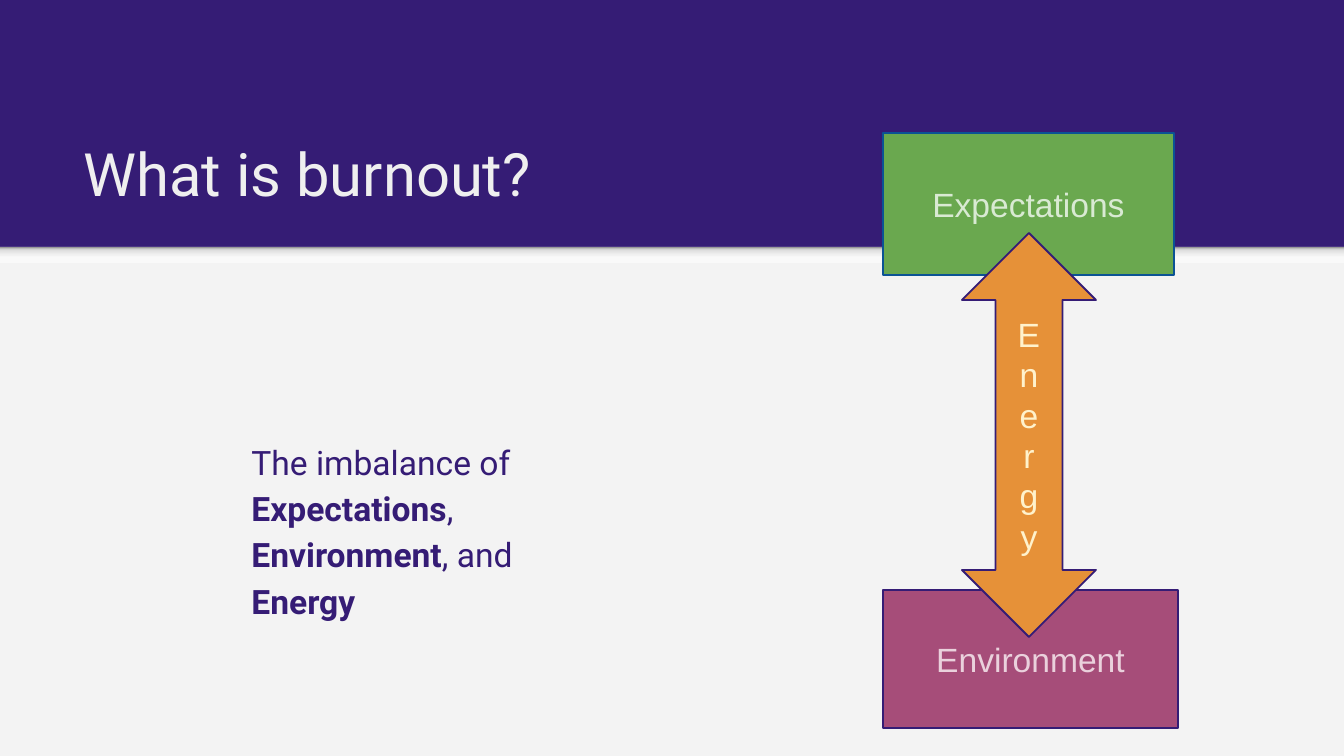
from copy import deepcopy

from pptx import Presentation
from pptx.dml.color import RGBColor
from pptx.enum.shapes import MSO_SHAPE as SHAPE
from pptx.enum.text import MSO_ANCHOR as ANCHOR, MSO_AUTO_SIZE as AUTO_SIZE, PP_ALIGN as ALIGN
from pptx.oxml.ns import qn
from pptx.oxml.xmlchemy import OxmlElement
from pptx.util import Emu, Pt

# Colours
PURPLE = RGBColor(0x35, 0x1C, 0x75)
PALE = RGBColor(0xF3, 0xF3, 0xF3)
TITLE_GREY = RGBColor(0xEF, 0xEF, 0xEF)
GREEN = RGBColor(0x6A, 0xA8, 0x4F)
LIGHT_GREEN = RGBColor(0xD9, 0xEA, 0xD3)
BLUE = RGBColor(0x0B, 0x53, 0x94)
MAGENTA = RGBColor(0xA6, 0x4D, 0x79)
LIGHT_PINK = RGBColor(0xEA, 0xD1, 0xDC)
ORANGE = RGBColor(0xE6, 0x91, 0x38)
CREAM = RGBColor(0xFF, 0xF2, 0xCC)
EDGE_STOPS = [
    (0, RGBColor(0xF9, 0xF9, 0xF9)),
    (0.36, RGBColor(0xF9, 0xF9, 0xF9)),
    (0.8, RGBColor(0xDE, 0xDE, 0xDE)),
    (1, RGBColor(0x99, 0x99, 0x99)),
]

# Content: boxes are left, top, width, height in px
SLIDE_W, SLIDE_H = 1344, 756
BAND_TOP, EDGE_H = 247, 16
TITLE = "What is burnout?"
TITLE_BOX = (70, 109, 1208, 113)
DEFINITION = [
    ("The imbalance of ", False),
    ("Expectations", True),
    (", ", False),
    ("Environment", True),
    (", and ", False),
    ("Energy", True),
]
DEFINITION_BOX = (238, 422, 296, 215)
FORCES = [
    (SHAPE.RECTANGLE, (883, 133, 291, 142), ["Expectations"], GREEN, BLUE, LIGHT_GREEN),
    (SHAPE.RECTANGLE, (883, 590, 295, 138), ["Environment"], MAGENTA, PURPLE, LIGHT_PINK),
    (SHAPE.UP_DOWN_ARROW, (962, 233, 134, 404), list("Energy"), ORANGE, PURPLE, CREAM),
]


def px(length):
    return Emu(round(length * 914400 / 134.4))


def apply(target, **values):
    for key, value in values.items():
        setattr(target, key, value)


def place(shape, box):
    apply(shape, **dict(zip(("left", "top", "width", "height"), map(px, box))))


def set_frame(frame, anchor, side, end):
    apply(frame, word_wrap=True, auto_size=AUTO_SIZE.NONE, vertical_anchor=anchor,
          margin_left=px(side), margin_right=px(side),
          margin_top=px(end), margin_bottom=px(end))


def set_font(font, name, size, color, bold=False):
    apply(font, name=name, size=Pt(size), bold=bold)
    font.color.rgb = color


def add_block(kind, box):
    block = slide.shapes.add_shape(kind, *map(px, box))
    block.shadow.inherit = False
    return block


prs = Presentation()
apply(prs, slide_width=px(SLIDE_W), slide_height=px(SLIDE_H))
slide = prs.slides.add_slide(prs.slide_layouts[1])
slide.background.fill.solid()
slide.background.fill.fore_color.rgb = PURPLE

# Pale lower band and the soft edge along its top, behind the text
band = add_block(SHAPE.RECTANGLE, (0, BAND_TOP, SLIDE_W, SLIDE_H - BAND_TOP))
band.fill.solid()
band.fill.fore_color.rgb = PALE
edge = add_block(SHAPE.RECTANGLE, (0, BAND_TOP, SLIDE_W, EDGE_H))
edge.fill.gradient()
edge.fill.gradient_angle = 90
stop_list = edge._element.spPr.find(".//" + qn("a:gsLst"))
for _ in range(len(EDGE_STOPS) - len(stop_list)):
    stop_list.append(deepcopy(stop_list[0]))
for stop, (position, color) in zip(edge.fill.gradient_stops, EDGE_STOPS):
    stop.position = position
    stop.color.rgb = color
for depth, layer in enumerate((band, edge)):
    layer.line.fill.background()
    slide.shapes._spTree.insert(2 + depth, layer._element)

# Title
title = slide.shapes.title
place(title, TITLE_BOX)
set_frame(title.text_frame, ANCHOR.BOTTOM, 13.44, 13.44)
heading = title.text_frame.paragraphs[0]
heading.alignment = ALIGN.LEFT
heading_run = heading.add_run()
heading_run.text = TITLE
set_font(heading_run.font, "Roboto", 32, TITLE_GREY)

# Definition
definition = slide.placeholders[1]
place(definition, DEFINITION_BOX)
set_frame(definition.text_frame, ANCHOR.TOP, 13.44, 13.44)
sentence = definition.text_frame.paragraphs[0]
apply(sentence, alignment=ALIGN.LEFT, line_spacing=1.15, space_before=Pt(0), space_after=Pt(16))
sentence_format = sentence._p.get_or_add_pPr()
sentence_format.set("marL", "0")
sentence_format.set("indent", "0")
sentence_format.append(OxmlElement("a:buNone"))
for words, bold in DEFINITION:
    phrase = sentence.add_run()
    phrase.text = words
    set_font(phrase.font, "Roboto", 18, PURPLE, bold)

# Expectations and Environment, with the Energy arrow between them
for kind, box, lines, fill, outline, ink in FORCES:
    force = add_block(kind, box)
    force.fill.solid()
    force.fill.fore_color.rgb = fill
    force.line.color.rgb = outline
    force.line.width = Pt(1)
    set_frame(force.text_frame, ANCHOR.MIDDLE, 13.44, 6.72)
    force.text_frame.text = "\n".join(lines)
    for label in force.text_frame.paragraphs:
        label.alignment = ALIGN.CENTER
        set_font(label.runs[0].font, "Arial", 18, ink)
    if kind == SHAPE.UP_DOWN_ARROW:
        force.adjustments[0] = force.adjustments[1] = 0.5

prs.save("out.pptx")
